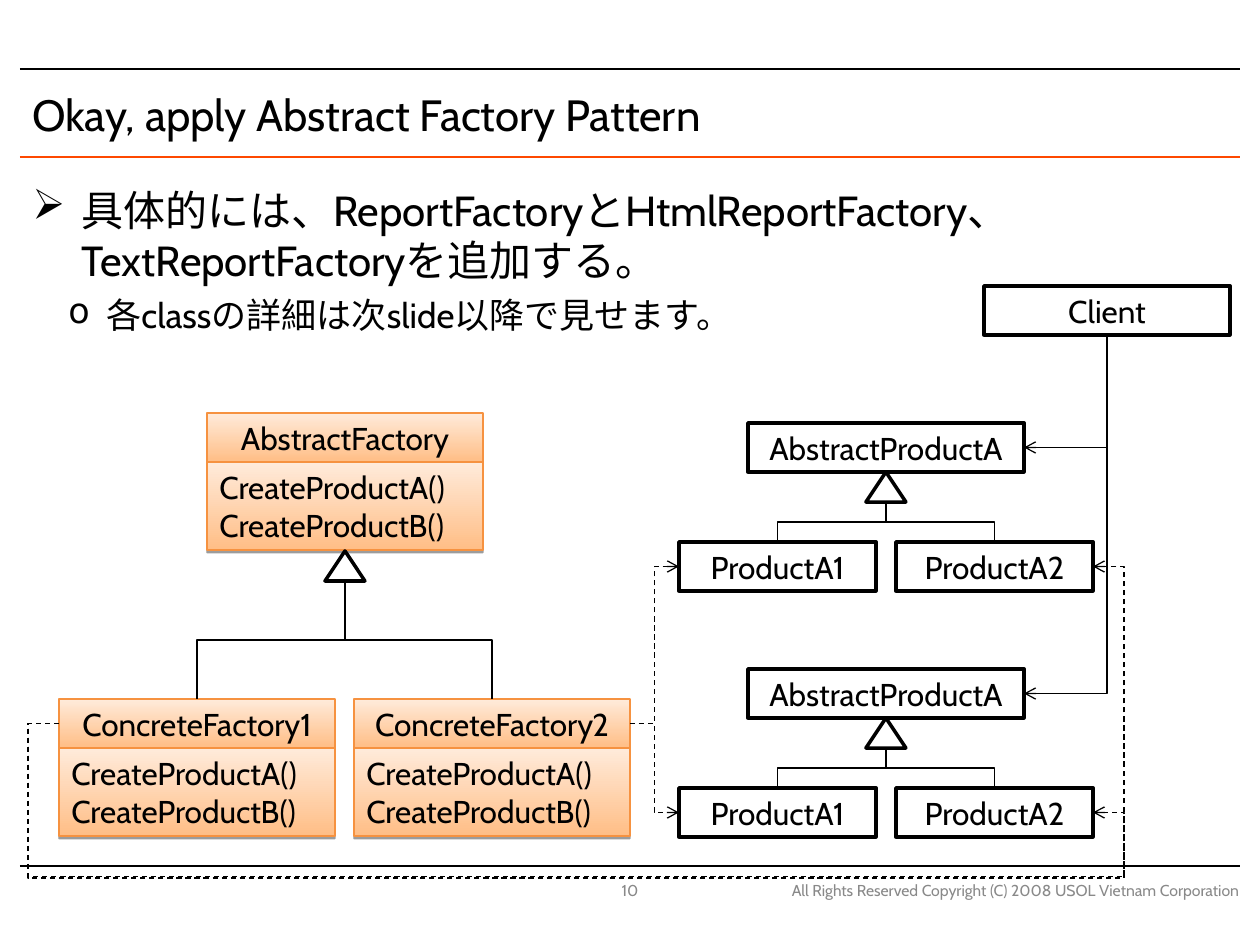
from dataclasses import dataclass
from enum import IntEnum
from typing import Any

from lxml.etree import SubElement
from pptx import Presentation
from pptx.dml.color import RGBColor
from pptx.enum.dml import MSO_LINE_DASH_STYLE as Dash
from pptx.enum.shapes import MSO_CONNECTOR_TYPE as Link
from pptx.enum.shapes import MSO_SHAPE as Preset
from pptx.enum.text import MSO_VERTICAL_ANCHOR as Anchor
from pptx.enum.text import PP_PARAGRAPH_ALIGNMENT as Align
from pptx.oxml.ns import qn
from pptx.shapes.autoshape import Shape
from pptx.shapes.connector import Connector
from pptx.slide import Slide
from pptx.util import Pt

SCALE = 914400 / 126
FONT = "Cabin"
BLACK, WHITE, GRAY, RED = "000000", "FFFFFF", "898989", "FE4800"
ORANGE, PEACH, CREAM = "F69240", "FFBE86", "FFEBDB"
HEAD_HEIGHT, BODY_HEIGHT, CLASS_WIDTH, PRODUCT_WIDTH = 49, 88, 276, 197
TRIANGLE_WIDTH, TRIANGLE_HEIGHT = 40, 30
PRODUCT_STEP = 246


class Side(IntEnum):
    TOP = 0
    LEFT = 1
    BOTTOM = 2
    RIGHT = 3


@dataclass(frozen=True)
class Area:
    left: int
    top: int
    width: int
    height: int

    def emu(self) -> list[int]:
        return [px(n) for n in (self.left, self.top, self.width, self.height)]


@dataclass(frozen=True)
class Para:
    text: str
    size: int
    color: str = BLACK
    align: Align = Align.LEFT
    bullet: str = ""
    level: int = 0
    margin: int = 0
    hang: int = 0
    before: int = 0


@dataclass(frozen=True)
class Route:
    preset: str = "bentConnector3"
    turn: int = 0
    flips: str = ""
    adjust: tuple[int, ...] = ()
    arrow: bool = False
    dashed: bool = False


def px(length: int) -> int:
    return round(length * SCALE)


def rgb(color: str) -> RGBColor:
    return RGBColor.from_string(color)


def assign(target: Any, values: dict[str, Any]) -> None:
    for name, value in values.items():
        setattr(target, name, value)


def write(box: Shape, paras: list[Para], anchor: Anchor = Anchor.MIDDLE) -> None:
    frame = box.text_frame
    assign(frame, {"word_wrap": True, "vertical_anchor": anchor})
    for index, item in enumerate(paras):
        para = frame.add_paragraph() if index else frame.paragraphs[0]
        assign(para, {"alignment": item.align, "level": item.level, "space_before": Pt(item.before)})
        if item.bullet:
            props = para._p.get_or_add_pPr()
            props.set("marL", str(px(item.margin)))
            props.set("indent", str(-px(item.hang)))
            SubElement(props, qn("a:buChar")).set("char", item.bullet)
        span = para.add_run()
        span.text = item.text
        assign(span.font, {"name": FONT, "size": Pt(item.size)})
        span.font.color.rgb = rgb(item.color)


def add_text(page: Slide, area: Area, paras: list[Para], anchor: Anchor = Anchor.MIDDLE) -> None:
    write(page.shapes.add_textbox(*area.emu()), paras, anchor)


def add_plain(page: Slide, preset: Preset, area: Area, line: str = BLACK, width: float = 2) -> Shape:
    box = page.shapes.add_shape(preset, *area.emu())
    box.shadow.inherit = False
    box.fill.solid()
    box.fill.fore_color.rgb = rgb(WHITE)
    box.line.color.rgb = rgb(line)
    box.line.width = Pt(width)
    return box


def add_class(page: Slide, area: Area, name: str) -> Shape:
    box = add_plain(page, Preset.RECTANGLE, area)
    write(box, [Para(name, 18, align=Align.CENTER)])
    return box


def add_orange(page: Slide, area: Area, paras: list[Para]) -> Shape:
    box = add_plain(page, Preset.RECTANGLE, area, ORANGE, 0.75)
    box.fill.gradient()
    box.fill.gradient_angle = 90
    for stop, color in zip(box.fill.gradient_stops, (PEACH, CREAM)):
        stop.color.rgb = rgb(color)
    effects = box._element.spPr.find(qn("a:effectLst"))
    shadow = SubElement(effects, qn("a:outerShdw"), blurRad="0", dist=str(Pt(1.6)), dir="5400000", rotWithShape="0")
    tint = SubElement(shadow, qn("a:srgbClr"), val=BLACK)
    SubElement(tint, qn("a:alpha"), val="38000")
    write(box, paras)
    return box


def add_factory(page: Slide, left: int, top: int, name: str) -> tuple[Shape, Shape]:
    head = add_orange(page, Area(left, top, CLASS_WIDTH, HEAD_HEIGHT), [Para(name, 18, align=Align.CENTER)])
    methods = [Para(f"CreateProduct{kind}()", 18) for kind in "AB"]
    body = add_orange(page, Area(left, top + HEAD_HEIGHT, CLASS_WIDTH, BODY_HEIGHT), methods)
    return head, body


def style_line(line: Connector, color: str) -> None:
    line.line.color.rgb = rgb(color)
    line.line.width = Pt(0.75)
    SubElement(line._element.spPr, qn("a:effectLst"))


def add_rule(page: Slide, top: int, color: str) -> None:
    style_line(page.shapes.add_connector(Link.STRAIGHT, px(20), px(top), px(1240), px(top)), color)


def port(box: Shape, side: Side) -> tuple[int, int]:
    across = {Side.LEFT: 0, Side.RIGHT: box.width}.get(side, box.width // 2)
    down = {Side.TOP: 0, Side.BOTTOM: box.height}.get(side, box.height // 2)
    return box.left + across, box.top + down


def add_elbow(page: Slide, source: Shape, out: Side, target: Shape, into: Side, route: Route) -> None:
    (x1, y1), (x2, y2) = port(source, out), port(target, into)
    line = page.shapes.add_connector(Link.ELBOW, x1, y1, x2, y2)
    is_triangle = source.auto_shape_type == Preset.ISOSCELES_TRIANGLE
    line.begin_connect(source, 3 if is_triangle else out)
    line.end_connect(target, into)
    width, height = abs(x2 - x1), abs(y2 - y1)
    middle_x, middle_y = (x1 + x2) // 2, (y1 + y2) // 2
    if route.turn in (90, 270):
        width, height = height, width
    assign(line, {"left": middle_x - width // 2, "top": middle_y - height // 2, "width": width, "height": height})
    props = line._element.spPr
    transform = props.find(qn("a:xfrm"))
    transform.set("rot", str(route.turn * 60000))
    for axis in "HV":
        transform.set(f"flip{axis}", str(int(axis in route.flips)))
    geometry = props.find(qn("a:prstGeom"))
    geometry.set("prst", route.preset)
    for number, value in enumerate(route.adjust, 1):
        SubElement(geometry.find(qn("a:avLst")), qn("a:gd"), name=f"adj{number}", fmla=f"val {value}")
    style_line(line, BLACK)
    if route.dashed:
        line.line.dash_style = Dash.DASH
    if route.arrow:
        SubElement(props.find(qn("a:ln")), qn("a:tailEnd"), type="arrow")


def add_inheritance(page: Slide, center: int, top: int, children: list[Shape]) -> None:
    area = Area(center - TRIANGLE_WIDTH // 2, top, TRIANGLE_WIDTH, TRIANGLE_HEIGHT)
    triangle = add_plain(page, Preset.ISOSCELES_TRIANGLE, area)
    for child, route in zip(children, (Route(turn=90), Route(turn=270, flips="H"))):
        add_elbow(page, triangle, Side.BOTTOM, child, Side.TOP, route)


def main() -> None:
    deck = Presentation()
    assign(deck, {"slide_width": px(1260), "slide_height": px(945)})
    page = deck.slides.add_slide(deck.slide_layouts[6])
    for top, color in ((69, BLACK), (157, RED), (866, BLACK)):
        add_rule(page, top, color)
    add_text(page, Area(20, 79, 1220, 69), [Para("Okay, apply Abstract Factory Pattern", 25)])
    add_text(page, Area(20, 178, 1220, 669), [
        Para("具体的には、ReportFactoryとHtmlReportFactory、TextReportFactoryを追加する。", 24,
             bullet="➢", margin=49, hang=49),
        Para("各classの詳細は次slide以降で見せます。", 20, bullet="o", level=1, margin=74, hang=38, before=5),
    ], Anchor.TOP)
    add_text(page, Area(758, 875, 493, 30),
             [Para("All Rights Reserved Copyright (C) 2008 USOL Vietnam Corporation", 9, GRAY, Align.RIGHT)])
    add_text(page, Area(512, 876, 236, 29), [Para("10", 9, GRAY, Align.CENTER)])

    add_factory(page, 207, 413, "AbstractFactory")
    factories = [add_factory(page, left, 699, f"ConcreteFactory{number}")[0]
                 for number, left in enumerate((59, 354), 1)]
    add_inheritance(page, 345, 551, factories)

    client = add_class(page, Area(984, 286, 246, HEAD_HEIGHT), "Client")
    outer_routes = (
        Route("bentConnector5", 180, "H", (-3000, -97600, 103000), True, True),
        Route("bentConnector5", 180, "HV", (-3000, 173700, 103000), True, True),
    )
    for row, outer in enumerate(outer_routes):
        top = 423 + row * PRODUCT_STEP
        parent = add_class(page, Area(748, top, CLASS_WIDTH, HEAD_HEIGHT), "AbstractProductA")
        products = [add_class(page, Area(left, top + 119, PRODUCT_WIDTH, HEAD_HEIGHT), f"ProductA{number}")
                    for number, left in enumerate((679, 896), 1)]
        add_inheritance(page, 886, top + HEAD_HEIGHT, products)
        inner = Route(flips="" if row else "V", arrow=True, dashed=True)
        add_elbow(page, factories[1], Side.RIGHT, products[0], Side.LEFT, inner)
        add_elbow(page, factories[0], Side.LEFT, products[1], Side.RIGHT, outer)
        add_elbow(page, client, Side.BOTTOM, parent, Side.RIGHT, Route("bentConnector2", 90, arrow=True))
    deck.save("out.pptx")


if __name__ == "__main__":
    main()
